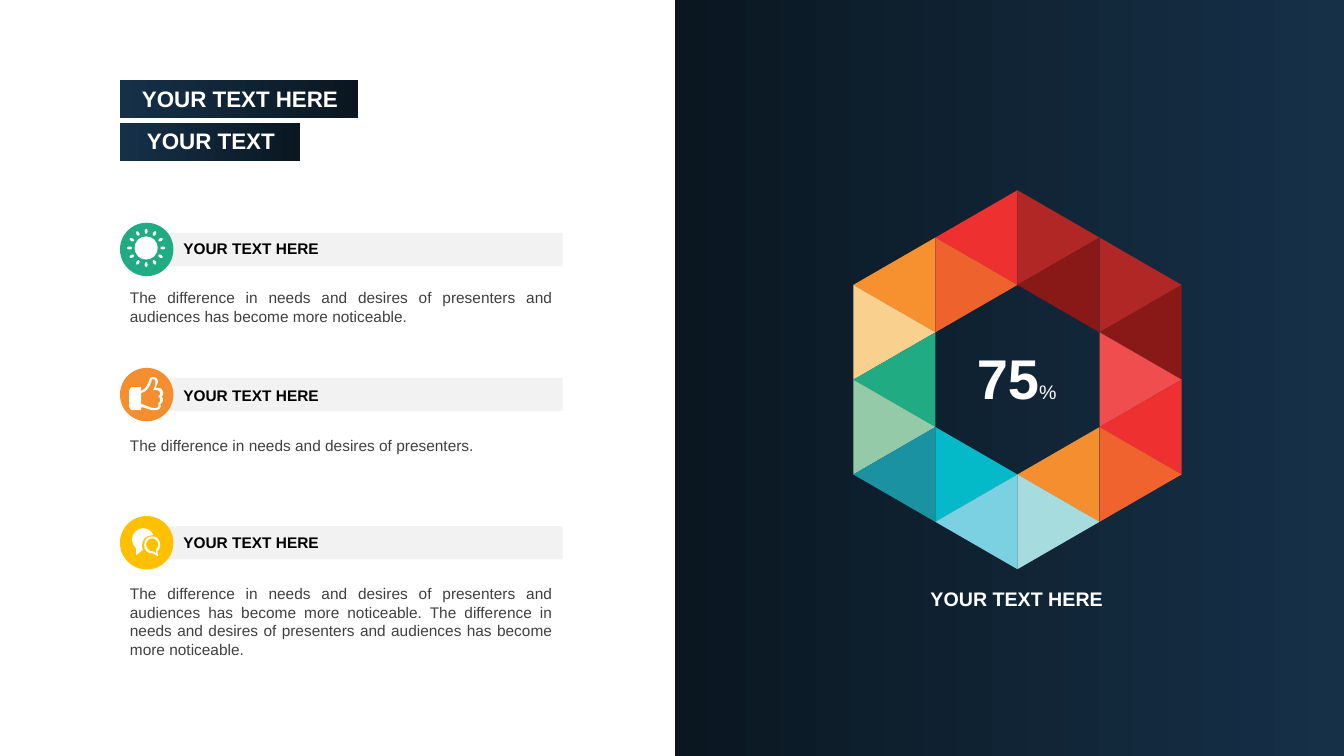
import math
from lxml import etree
from pptx import Presentation
from pptx.dml.color import RGBColor
from pptx.enum import shapes, text
from pptx.oxml import ns
from pptx.util import Inches, Pt

COLORS = {
    "navy": "163048", "ink": "0A1721", "white": "FFFFFF", "black": "000000",
    "body": "404040", "bar": "F2F2F2", "green": "21AB82", "orange": "F58E2E",
    "yellow": "FFC000", "brick": "B12725", "maroon": "891917", "red": "EF3031",
    "coral": "F04D4E", "ember": "EE622D", "flame": "F0632E", "amber": "F7912F",
    "sand": "FAD08E", "mist": "A7DCDE", "sky": "7BD1E2", "cyan": "05BAC8",
    "teal": "1A92A2", "sage": "94CAA8",
}
TITLES = [
    ("YOUR TEXT HERE", (1.19, 0.79, 2.36, 0.38), (1.31, 0.8, 2.7, 0.37)),
    ("YOUR TEXT", (1.19, 1.22, 1.79, 0.38), (1.36, 1.21, 1.84, 0.37)),
]
SENTENCE = "The difference in needs and desires of presenters and audiences has become more noticeable."
ITEMS = [
    ("YOUR TEXT HERE", SENTENCE, "green", 2.21, 2.32, 2.81, 0.47),
    ("YOUR TEXT HERE", "The difference in needs and desires of presenters.", "orange", 3.65, 3.78, 4.28, 0.29),
    ("YOUR TEXT HERE", f"{SENTENCE} {SENTENCE}", "yellow", 5.12, 5.24, 5.75, 0.84),
]
RING = [
    {1: "amber", 2: "sand", 3: "green", 4: "sage", 5: "teal"},
    {0: "red", 1: "ember", 5: "cyan", 6: "sky"},
    {0: "brick", 1: "maroon", 5: "orange", 6: "mist"},
    {1: "brick", 2: "maroon", 3: "coral", 4: "red", 5: "flame"},
]
THUMB = [
    [(1.6, 3.94), (1.63, 3.94, 1.62, 4, 1.59, 4.01), (1.6, 4.02, 1.6, 4.07, 1.54, 4.07),
     (1.46, 4.07, 1.45, 4.04, 1.4, 4.04), (1.4, 4.07), (1.31, 4.07),
     (1.3, 4.07, 1.28, 4.05, 1.28, 4.03), (1.28, 3.88), (1.28, 3.86, 1.3, 3.84, 1.31, 3.84),
     (1.4, 3.84), (1.4, 3.88), (1.48, 3.84, 1.48, 3.74, 1.5, 3.74),
     (1.62, 3.74, 1.54, 3.85, 1.54, 3.85), (1.54, 3.85, 1.61, 3.83, 1.62, 3.89),
     (1.62, 3.91, 1.62, 3.92, 1.6, 3.94)],
    [(1.52, 3.87), (1.52, 3.87, 1.58, 3.76, 1.51, 3.76), (1.5, 3.76, 1.5, 3.87, 1.4, 3.9),
     (1.4, 4.01), (1.44, 4.01, 1.48, 4.05, 1.54, 4.05), (1.58, 4.05, 1.57, 4.01, 1.57, 4),
     (1.6, 3.99, 1.59, 3.94, 1.57, 3.93), (1.59, 3.92, 1.59, 3.91, 1.59, 3.9),
     (1.59, 3.86, 1.52, 3.87, 1.52, 3.87)],
]
BUBBLES = [
    [(1.56, 5.47), (1.57, 5.52), (1.52, 5.49), (1.51, 5.49),
     (1.46, 5.49, 1.43, 5.45, 1.43, 5.41), (1.43, 5.36, 1.46, 5.32, 1.51, 5.32),
     (1.56, 5.32, 1.59, 5.36, 1.59, 5.41), (1.59, 5.43, 1.58, 5.45, 1.56, 5.47)],
    [(1.51, 5.34), (1.48, 5.34, 1.45, 5.37, 1.45, 5.4), (1.45, 5.44, 1.48, 5.47, 1.51, 5.47),
     (1.52, 5.47), (1.55, 5.49), (1.55, 5.45), (1.56, 5.44, 1.57, 5.42, 1.57, 5.4),
     (1.57, 5.37, 1.54, 5.34, 1.51, 5.34)],
    [(1.41, 5.41), (1.41, 5.43, 1.41, 5.45, 1.42, 5.46), (1.41, 5.46), (1.35, 5.51),
     (1.35, 5.44), (1.33, 5.42, 1.31, 5.39, 1.31, 5.35), (1.31, 5.29, 1.36, 5.24, 1.42, 5.24),
     (1.47, 5.24, 1.51, 5.27, 1.52, 5.31), (1.51, 5.31), (1.45, 5.31, 1.41, 5.35, 1.41, 5.41)],
]


def paint(shape, color):
    shape.shadow.inherit = False
    shape.line.fill.background()
    if color == "gradient":
        shape.fill.gradient()
        shape.fill.gradient_angle = 0
        for stop, name, position in zip(shape.fill.gradient_stops, ("navy", "ink"), (0, 1)):
            stop.color.rgb = RGBColor.from_string(COLORS[name])
            stop.position = position
    else:
        shape.fill.solid()
        shape.fill.fore_color.rgb = RGBColor.from_string(COLORS[color])


def add_shape(page, kind, place, color, rotation=0):
    shape = page.shapes.add_shape(kind, *map(Inches, place))
    shape.rotation = rotation
    paint(shape, color)


def add_text(page, place, spans, color, align=None, wrap=True):
    box = page.shapes.add_textbox(*map(Inches, place))
    box.text_frame.word_wrap = wrap
    box.text_frame.auto_size = text.MSO_AUTO_SIZE.SHAPE_TO_FIT_TEXT
    para = box.text_frame.paragraphs[0]
    para.alignment = align
    for words, size, bold in spans:
        span = para.add_run()
        span.text = words
        span.font.name, span.font.size, span.font.bold = "Arial", Pt(size), bold
        span.font.color.rgb = RGBColor.from_string(COLORS[color])


def oval(center, length, width, angle=0):
    turn, bend = math.radians(angle), 0.55
    corners = [(1, 0), (0, 1), (-1, 0), (0, -1), (1, 0)]

    def place(x, y):
        x, y = x * length / 2, y * width / 2
        return (center[0] + x * math.cos(turn) - y * math.sin(turn),
                center[1] + x * math.sin(turn) + y * math.cos(turn))

    outline = [place(1, 0)]
    for (a, b), (c, d) in zip(corners, corners[1:]):
        outline.append(place(a + bend * c, b + bend * d) + place(c + bend * a, d + bend * b) + place(c, d))
    return outline


def sun(x=1.45, y=2.46, inner=0.14, outer=0.19):
    orbit, rays = (inner + outer) / 2, []
    for angle in range(0, 360, 30):
        turn = math.radians(angle)
        center = (x + orbit * math.cos(turn), y + orbit * math.sin(turn))
        rays.append(oval(center, outer - inner, 0.03, angle))
    return [oval((x, y), 0.23, 0.23)] + rays


def add_icon(page, contours):
    builder = None
    for start, *segments in contours:
        corner = tuple(map(Inches, start))
        if builder is None:
            builder = page.shapes.build_freeform(*corner)
        else:
            builder.move_to(*corner)
        points = [segment[n:n + 2] for segment in segments for n in range(0, len(segment), 2)]
        builder.add_line_segments([tuple(map(Inches, point)) for point in points])
    shape = builder.convert_to_shape()
    lines = iter(list(shape.element.iter(ns.qn("a:lnTo"))))
    for segment in (segment for contour in contours for segment in contour[1:]):
        first = next(lines)
        if len(segment) == 6:
            curve = etree.Element(ns.qn("a:cubicBezTo"))
            first.addprevious(curve)
            for line in (first, next(lines), next(lines)):
                curve.append(line[0])
                line.getparent().remove(line)
        elif first.getnext() is not None and first.getnext().tag == ns.qn("a:moveTo"):
            continue
    paint(shape, "white")


def main():
    """Build the slide with three points and a hexagon ring."""
    deck = Presentation()
    deck.slide_width, deck.slide_height = Inches(13.33), Inches(7.5)
    page = deck.slides.add_slide(deck.slide_layouts[6])
    preset = shapes.MSO_SHAPE
    add_shape(page, preset.RECTANGLE, (6.69, 0, 6.65, 7.5), "gradient", 180)
    for title, band, place in TITLES:
        add_shape(page, preset.RECTANGLE, band, "gradient")
        add_text(page, place, [(title, 16, True)], "white")
    for (heading, body, color, top, heading_top, body_top, height), icon in zip(ITEMS, (sun(), THUMB, BUBBLES)):
        add_shape(page, preset.RECTANGLE, (1.57, top + 0.1, 4.01, 0.33), "bar")
        add_shape(page, preset.OVAL, (1.19, top, 0.53, 0.53), color)
        add_icon(page, icon)
        add_text(page, (1.72, heading_top, 2.7, 0.29), [(heading, 11, True)], "black")
        add_text(page, (1.19, body_top, 4.39, height), [(body, 11, False)], "body", text.PP_ALIGN.JUSTIFY)
    side = 0.94
    depth = side * math.sqrt(3) / 2
    for column, cells in enumerate(RING):
        for row, color in cells.items():
            place = (8.4 + column * depth, 1.95 + row * side / 2, side, depth)
            add_shape(page, preset.ISOSCELES_TRIANGLE, place, color, 270 if (column + row) % 2 else 90)
    add_text(page, (9.59, 3.36, 1, 0.77), [("75", 40, True), ("%", 14, False)], "white", wrap=False)
    add_text(page, (9.13, 5.77, 1.92, 0.34), [("YOUR TEXT HERE", 14, True)], "white")
    deck.save("out.pptx")


if __name__ == "__main__":
    main()
